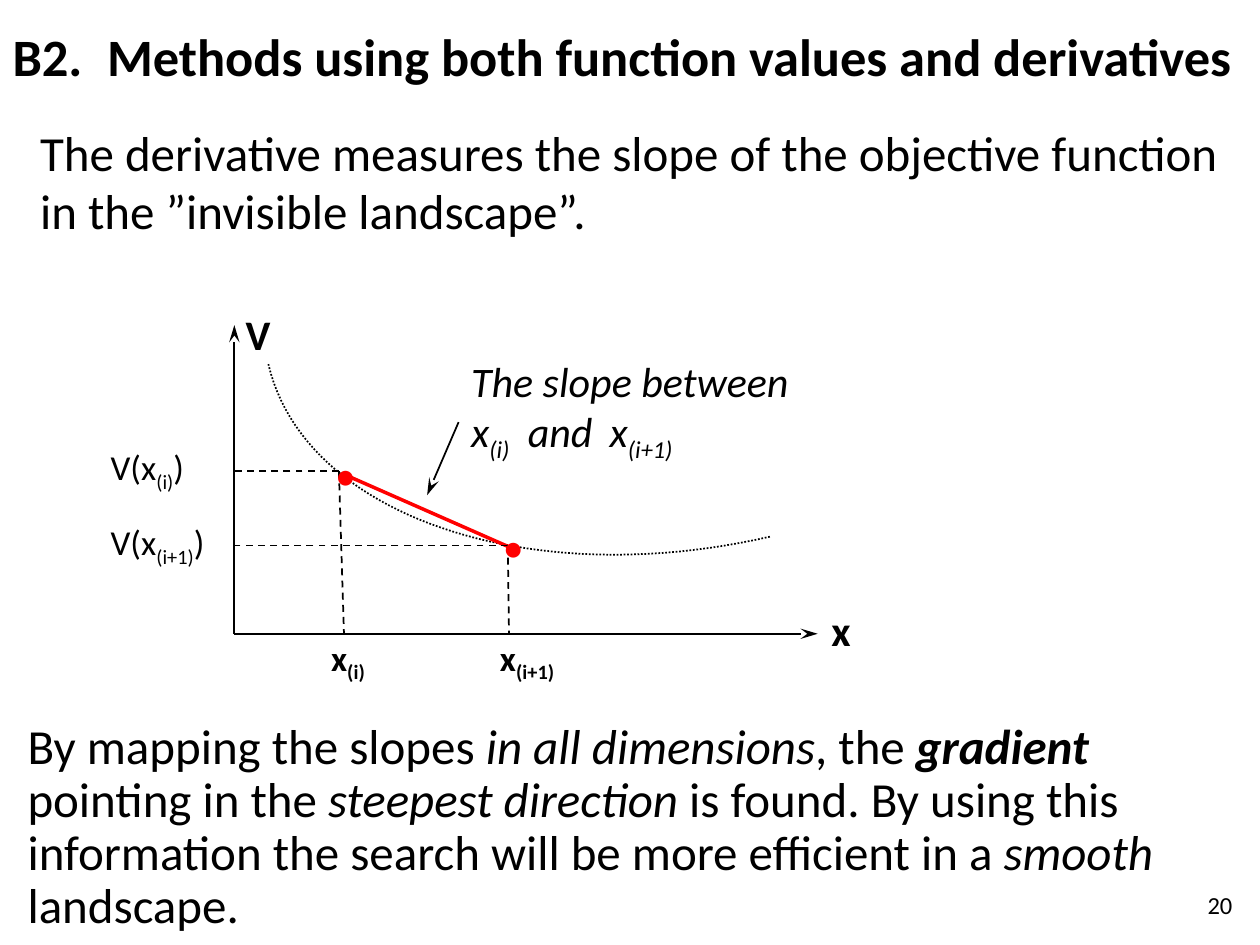
from lxml.etree import SubElement
from pptx import Presentation
from pptx.dml.color import RGBColor
from pptx.enum.dml import MSO_LINE
from pptx.enum.shapes import MSO_CONNECTOR
from pptx.enum.text import MSO_ANCHOR, PP_ALIGN
from pptx.oxml.ns import qn
from pptx.util import Inches, Pt

FONT, BLACK, RED = "Calibri", "000000", "FF0000"

# Content: each text is a list of (words, style); b bold, i italic, s subscript
TITLE = [("B2.\tMethods using both function values and derivatives", "b")]
INTRO = [("The derivative measures the slope of the objective function "
          "in the ”invisible landscape”.", "")]
SUMMARY = [
    ("By mapping the slopes ", ""), ("in all dimensions", "i"),
    (", the ", ""), ("gradient", "bi"), (" pointing in the ", ""),
    ("steepest direction ", "i"),
    ("is found. By using this information the search will be more "
     "efficient in a ", ""), ("smooth ", "i"), ("landscape.", "")]
SLOPE_NOTE = [("The slope between x", "i"), ("(i)\t", "is"),
              ("and\tx", "i"), ("(i+1)", "is")]
PAGE_NUMBER = [("20", "")]

# Diagram geometry in inches
ORIGIN = (1.86, 5.03)
AXES = [("V", (1.86, 2.58), (1.85, 2.4)),
        ("x", (6.49, 5.03), (6.5, 4.75))]
CURVE = [(6.11, 4.26), (4.19, 4.7), (2.41, 4.09), (2.13, 2.89)]
CURVE_STEPS = 48
SLOPE = [(2.72, 3.76), (4.06, 4.35)]
POINTER = [(3.64, 3.35), (3.39, 3.93)]
# Subscript, guide corner, foot on the x axis, dot box corner
POINTS = [("(i)", (2.69, 3.74), 2.73, (2.64, 3.56)),
          ("(i+1)", (4.03, 4.33), 4.04, (3.97, 4.13))]

deck = Presentation()
deck.slide_width, deck.slide_height = Inches(10), Inches(7.5)
page = deck.slides.add_slide(deck.slide_layouts[6])


def color(hex_string):
    return RGBColor.from_string(hex_string)


def add_text(runs, left, top, width, height, size=28, ink=BLACK,
             align=PP_ALIGN.LEFT, anchor=MSO_ANCHOR.TOP, spacing=1.0,
             inset=(0.1, 0.05), wrap=True, tabs=()):
    box = page.shapes.add_textbox(*map(Inches, (left, top, width, height)))
    frame = box.text_frame
    frame.word_wrap, frame.vertical_anchor = wrap, anchor
    frame.margin_left = frame.margin_right = Inches(inset[0])
    frame.margin_top = frame.margin_bottom = Inches(inset[1])
    para = frame.paragraphs[0]
    para.alignment, para.line_spacing = align, spacing
    if tabs:
        stops = SubElement(para._p.get_or_add_pPr(), qn("a:tabLst"))
        for stop in tabs:
            SubElement(stops, qn("a:tab"), pos=str(Inches(stop)), algn="l")
    for words, style in runs:
        span = para.add_run()
        span.text = words
        font = span.font
        font.name, font.size, font.color.rgb = FONT, Pt(size), color(ink)
        font.bold, font.italic = "b" in style, "i" in style
        if "s" in style:
            font._element.set("baseline", "-25000")


def add_line(start, end, ink=BLACK, weight=1, dash=None, arrow=False):
    link = page.shapes.add_connector(
        MSO_CONNECTOR.STRAIGHT, *map(Inches, (*start, *end)))
    link.line.color.rgb, link.line.width = color(ink), Pt(weight)
    if dash:
        link.line.dash_style = dash
    if arrow:
        SubElement(link.line._get_or_add_ln(), qn("a:tailEnd"),
                   type="stealth", w="med", len="lg")
    SubElement(link._element.spPr, qn("a:effectLst"))


def bezier(controls, t):
    """Point on a cubic curve, in slide units."""
    weights = ((1 - t) ** 3, 3 * t * (1 - t) ** 2, 3 * t ** 2 * (1 - t), t ** 3)
    return tuple(Inches(sum(w * c[axis] for w, c in zip(weights, controls)))
                 for axis in (0, 1))


# Title and body text
add_text(TITLE, 0.08, 0.07, 9.8, 0.8, size=30, spacing=0.9,
         anchor=MSO_ANCHOR.MIDDLE, inset=(0.02, 0.05), tabs=[0.75])
add_text(INTRO, 0.22, 0.92, 9.65, 1.08)
add_text(SUMMARY, 0.12, 5.68, 9.32, 1.51, spacing=0.9)

# Objective function curve
track = [bezier(CURVE, step / CURVE_STEPS) for step in range(CURVE_STEPS + 1)]
builder = page.shapes.build_freeform(*track[0])
builder.add_line_segments(track[1:], close=False)
curve = builder.convert_to_shape()
curve.shadow.inherit = False
curve.fill.background()
curve.line.color.rgb, curve.line.width = color(BLACK), Pt(1)
curve.line.dash_style = MSO_LINE.ROUND_DOT

# Axes with their names
for name, tip, label_corner in AXES:
    add_line(ORIGIN, tip, arrow=True)
    add_text([(name, "b")], *label_corner, 0.42, 0.51, size=24)

# Slope line with its note
add_line(*SLOPE, ink=RED, weight=2)
add_text(SLOPE_NOTE, 3.64, 2.77, 2.75, 0.91, size=24, tabs=[0.45, 1.1])
add_line(*POINTER, arrow=True)

# Sample points: guides to both axes, labels and dots
for index, corner, foot, dot in POINTS:
    add_line(corner, (foot, ORIGIN[1]), dash=MSO_LINE.DASH)
    add_line(corner, (ORIGIN[0], corner[1]), dash=MSO_LINE.DASH)
    add_text([("x", "b"), (index, "bs")], corner[0] - 0.16, 5, 0.83, 0.44,
             size=20)
    add_text([("V(x", ""), (index, "s"), (")", "")],
             0.78, corner[1] - 0.25, 1.33, 0.44, size=20)
    add_text([("•", "")], *dot, 0.25, 0.4, size=24, ink=RED, inset=(0.02, 0))

# Page number
add_text(PAGE_NUMBER, 9.4, 6.93, 0.48, 0.5, size=14, align=PP_ALIGN.RIGHT,
         anchor=MSO_ANCHOR.MIDDLE, wrap=False)

deck.save("out.pptx")
